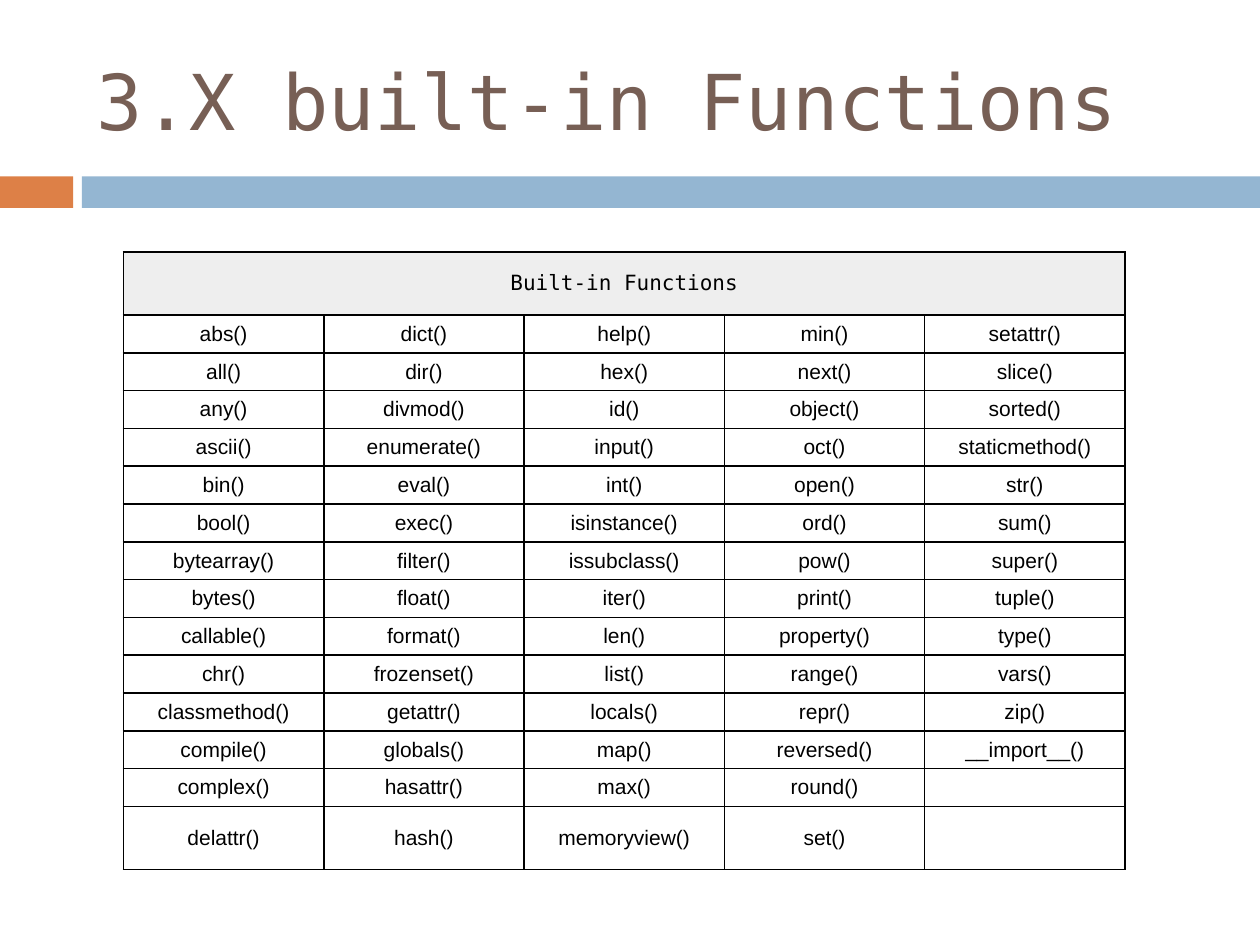
import lxml.etree
import pptx
import pptx.dml.color
import pptx.enum.shapes
import pptx.enum.text
import pptx.oxml.ns
import pptx.util

Inch = pptx.util.Inches
Pt = pptx.util.Pt
MONO = "DejaVu Sans Mono"
WIDE, HIGH = 10, 7.5


def paint(fill, color):
    fill.solid()
    fill.fore_color.rgb = pptx.dml.color.RGBColor.from_string(color)


def write(frame, text, size=12, font="Arial", color="000000", align="CENTER"):
    para = frame.paragraphs[0]
    para.alignment = getattr(pptx.enum.text.PP_ALIGN, align)
    if text:
        run = para.add_run()
        run.text = text
        run.font.size = Pt(size)
        run.font.name = font
        paint(run.font.fill, color)
    else:
        # An empty cell needs its own size, or the default makes its row taller.
        para._p.get_or_add_endParaRPr().set("sz", str(size * 100))


deck = pptx.Presentation()
deck.slide_width, deck.slide_height = Inch(WIDE), Inch(HIGH)
slide = deck.slides.add_slide(deck.slide_layouts[6])

# Two-part band under the title
split, gap = 0.58, 0.07
for left, width, color in [(0, split, "DD8047"),
                           (split + gap, WIDE - split - gap, "94B6D2")]:
    band = slide.shapes.add_shape(pptx.enum.shapes.MSO_SHAPE.RECTANGLE,
                                  Inch(left), Inch(1.4), Inch(width), Inch(0.25))
    band.shadow.inherit = False
    paint(band.fill, color)
    band.line.fill.background()

title = slide.shapes.add_textbox(Inch(0.67), Inch(0.25), Inch(8.92), Inch(1.08))
title.text_frame.word_wrap = True
title.text_frame.vertical_anchor = pptx.enum.text.MSO_ANCHOR.MIDDLE
write(title.text_frame, "3.X built-in Functions", size=44, font=MONO,
      color="775F55", align="LEFT")

# One line for each table column, read downwards
names = [line.split() for line in (
    "abs all any ascii bin bool bytearray bytes callable chr classmethod compile complex delattr",
    "dict dir divmod enumerate eval exec filter float format frozenset getattr globals hasattr hash",
    "help hex id input int isinstance issubclass iter len list locals map max memoryview",
    "min next object oct open ord pow print property range repr reversed round set",
    "setattr slice sorted staticmethod str sum super tuple type vars zip __import__",
)]
cols, rows = len(names), len(names[0]) + 1
tall, low, step = 0.5, 0.3, 1.59

table = slide.shapes.add_table(rows, cols, Inch(0.98), Inch(2), Inch(cols * step),
                               Inch(2 * tall + (rows - 2) * low)).table
table.first_row = table.horz_banding = False
for col in table.columns:
    col.width = Inch(step)
for r, row in enumerate(table.rows):
    row.height = Inch(tall if r in (0, rows - 1) else low)
    for c, cell in enumerate(row.cells):
        cell.margin_left = cell.margin_right = Inch(0.07)
        cell.margin_top = cell.margin_bottom = Inch(0.03)
        cell.vertical_anchor = pptx.enum.text.MSO_ANCHOR.MIDDLE
        for side in ("lnL", "lnR", "lnT", "lnB"):
            edge = lxml.etree.SubElement(cell._tc.get_or_add_tcPr(),
                                         pptx.oxml.ns.qn("a:" + side), w=str(Pt(1)))
            solid = lxml.etree.SubElement(edge, pptx.oxml.ns.qn("a:solidFill"))
            lxml.etree.SubElement(solid, pptx.oxml.ns.qn("a:srgbClr"), val="000000")
        paint(cell.fill, "FFFFFF" if r else "EEEEEE")
        if r:
            filled = r <= len(names[c])
            write(cell.text_frame, names[c][r - 1] + "()" if filled else "")

head = table.cell(0, 0)
head.merge(table.cell(0, cols - 1))
write(head.text_frame, "Built-in Functions", font=MONO)

deck.save("out.pptx")
